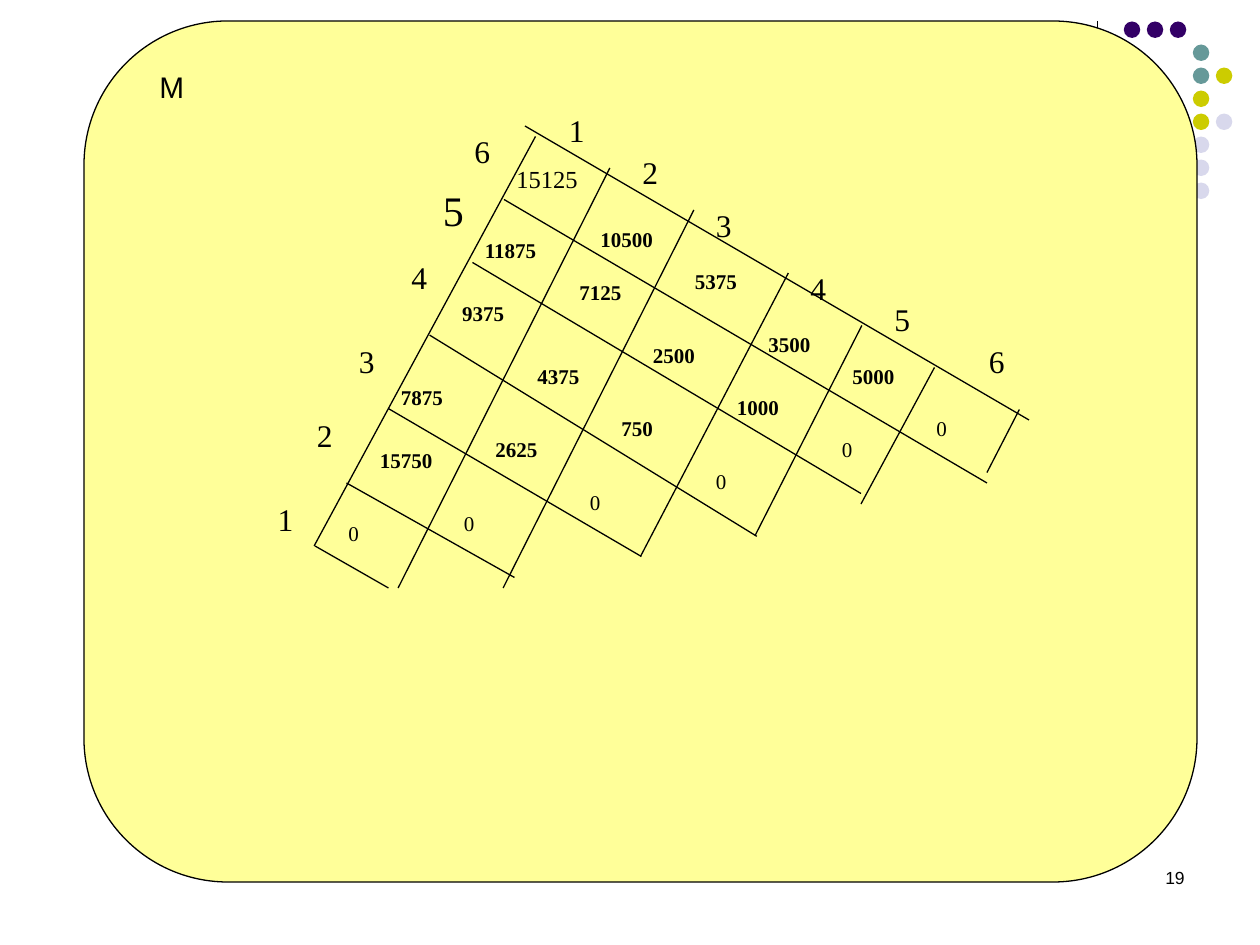
from lxml import etree
from pptx import Presentation
from pptx import util as u
from pptx.dml.color import RGBColor
from pptx.enum import shapes, text
from pptx.oxml.ns import qn

BLACK = RGBColor(0x00, 0x00, 0x00)
YELLOW = RGBColor(0xFF, 0xFF, 0x99)
PURPLE = RGBColor(0x33, 0x00, 0x66)
TEAL = RGBColor(0x66, 0x99, 0x99)
OLIVE = RGBColor(0xCC, 0xCC, 0x00)
LILAC = RGBColor(0xD8, 0xD8, 0xEC)
SANS, SERIF = "Arial", "Times New Roman"

# Corner dots: (column, row, colour)
DOTS = [
    (0, 0, PURPLE), (1, 0, PURPLE), (2, 0, PURPLE),
    (3, 1, TEAL), (3, 2, TEAL), (4, 2, OLIVE),
    (3, 3, OLIVE), (3, 4, OLIVE), (4, 4, LILAC),
    (3, 5, LILAC), (3, 6, LILAC), (3, 7, LILAC),
]
DOT_LEFT, DOT_TOP, DOT_PITCH, DOT_SIZE = 642.2, 12.3, 13.15, 9.4

# Tilted grid: (x1, y1, x2, y2)
ROW_LINES = [
    (300, 72, 588, 240), (288, 114, 564, 276), (270, 150, 492, 282),
    (245.5, 191.5, 432.5, 306.5), (222, 233.5, 366.5, 318),
    (198, 276, 294, 330), (180, 312, 222, 336),
]
COLUMN_LINES = [
    (306, 78, 179.5, 312), (348.5, 96, 227.5, 336), (396.5, 120, 287.5, 336),
    (450.5, 156, 366, 318), (492.5, 186, 431.5, 306),
    (534, 210, 492, 288), (582.5, 234, 564, 270),
]

# Cost table M, rows 6 down to 1: (value, left, top, width)
COSTS = [
    [("15125", 288, 90, 54), ("10500", 336, 126, 49), ("5375", 390, 150, 54),
     ("3500", 432, 186, 66), ("5000", 480, 204, 48), ("0", 528, 234, 36)],
    [("11875", 270, 132, 48), ("7125", 324, 156, 54), ("2500", 366, 192, 66),
     ("1000", 414, 222, 42), ("0", 474, 246, 30)],
    [("9375", 257, 168, 43), ("4375", 300, 204, 60), ("750", 348, 234, 54),
     ("0", 402, 264, 37.5)],
    [("7875", 222, 216, 60), ("2625", 276, 246, 54), ("0", 330, 276, 49)],
    [("15750", 210, 252, 54), ("0", 258, 288, 48)],
    [("0", 192, 294, 43)],
]

# Index labels 1 to 6 along each edge: (left, top, width)
ROW_LABELS = [(151.5, 282, 28.5), (174, 234, 24), (198, 192, 30),
              (228, 144, 24), (246, 102, 21), (264, 72, 24)]
COLUMN_LABELS = [(318, 60, 30), (360, 84, 24), (402, 114, 36),
                 (456, 150, 30), (504, 168, 24), (558, 192, 18)]


def add_text(page, words, left, top, width, size, height=None, font=SERIF,
             bold=False, align=text.PP_ALIGN.LEFT):
    box = page.shapes.add_textbox(u.Pt(left), u.Pt(top), u.Pt(width),
                                  u.Pt(height or size * 1.2 + 7.2))
    frame = box.text_frame
    frame.word_wrap = True
    if height is None:
        frame.auto_size = text.MSO_AUTO_SIZE.SHAPE_TO_FIT_TEXT
    frame.text = words
    para = frame.paragraphs[0]
    para.alignment = align
    span = para.runs[0]
    span.font.name = font
    span.font.size = u.Pt(size)
    span.font.bold = bold
    span.font.color.rgb = BLACK


def add_line(page, *ends):
    line = page.shapes.add_connector(shapes.MSO_CONNECTOR.STRAIGHT,
                                     *[u.Pt(end) for end in ends])
    line.line.color.rgb = BLACK
    line.line.width = u.Pt(0.75)
    etree.SubElement(line._element.spPr, qn("a:effectLst"))


def add_filled(parent, kind, left, top, width, height, color):
    shape = parent.shapes.add_shape(kind, u.Pt(left), u.Pt(top),
                                    u.Pt(width), u.Pt(height))
    shape.shadow.inherit = False
    shape.fill.solid()
    shape.fill.fore_color.rgb = color
    shape.line.fill.background()
    return shape


def main():
    deck = Presentation()
    deck.slide_width, deck.slide_height = u.Pt(720), u.Pt(540)
    page = deck.slides.add_slide(deck.slide_layouts[6])

    # Corner decoration
    add_line(page, 627, 12, 627, 132)
    cluster = page.shapes.add_group_shape()
    for column, row, color in DOTS:
        add_filled(cluster, shapes.MSO_SHAPE.OVAL,
                   DOT_LEFT + column * DOT_PITCH, DOT_TOP + row * DOT_PITCH,
                   DOT_SIZE, DOT_SIZE, color)

    # Slide number, panel and table name
    add_text(page, "19", 516, 492, 168, 10, height=35, font=SANS,
             align=text.PP_ALIGN.RIGHT)
    panel = add_filled(page, shapes.MSO_SHAPE.ROUNDED_RECTANGLE,
                       48, 12, 636, 492, YELLOW)
    panel.adjustments[0] = 0.167
    panel.line.color.rgb = BLACK
    panel.line.width = u.Pt(0.75)
    add_text(page, "M", 84, 36, 612, 17, height=456, font=SANS)

    # Grid lines
    for ends in ROW_LINES + COLUMN_LINES:
        add_line(page, *ends)

    # Costs: the final answer is larger and plain, zeros are plain
    answer = COSTS[0][0]
    for row in COSTS:
        for cost in row:
            add_text(page, *cost, size=14 if cost is answer else 12,
                     bold=cost is not answer and cost[0] != "0")

    # Index labels
    for labels in (ROW_LABELS, COLUMN_LABELS):
        for index, place in enumerate(labels, start=1):
            large = labels is ROW_LABELS and index == 5
            add_text(page, str(index), *place, size=24 if large else 18)

    deck.save("out.pptx")


if __name__ == "__main__":
    main()
